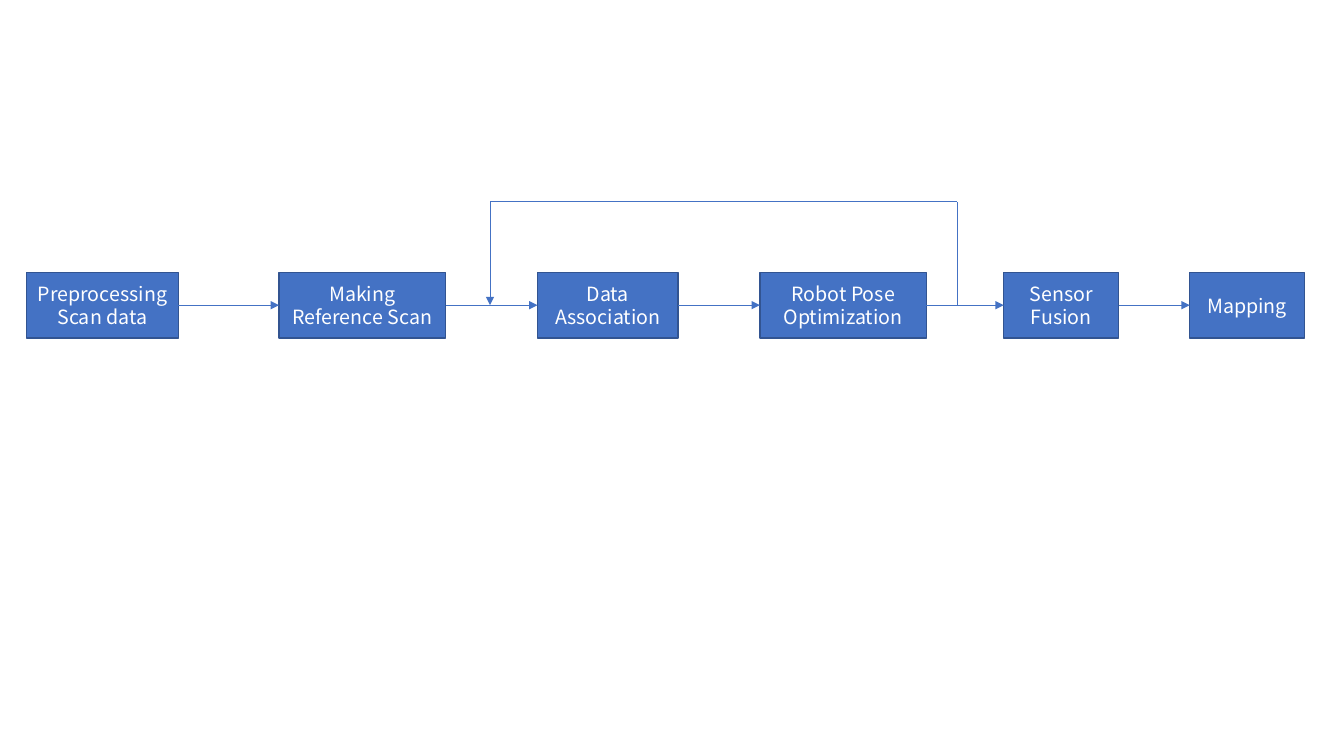
from dataclasses import dataclass
from itertools import pairwise

from lxml import etree
from pptx import Presentation
from pptx.dml.color import RGBColor
from pptx.enum.shapes import MSO_CONNECTOR, MSO_SHAPE
from pptx.enum.text import MSO_ANCHOR, PP_ALIGN
from pptx.oxml.ns import qn
from pptx.shapes.autoshape import Shape
from pptx.shapes.connector import Connector
from pptx.slide import Slide
from pptx.util import Pt

RECTANGLE = MSO_SHAPE.RECTANGLE
STRAIGHT = MSO_CONNECTOR.STRAIGHT
MIDDLE = MSO_ANCHOR.MIDDLE
CENTER = PP_ALIGN.CENTER
LEFT_SITE, RIGHT_SITE = 1, 3
BLANK_LAYOUT = 6


@dataclass(frozen=True)
class Theme:
    """Colours, font and line widths of the diagram."""
    fill: RGBColor = RGBColor(0x44, 0x72, 0xC4)
    border: RGBColor = RGBColor(0x32, 0x54, 0x91)
    text: RGBColor = RGBColor(0xFF, 0xFF, 0xFF)
    font: str = "Noto Sans CJK JP"
    text_size: float = 14
    border_width: float = 1
    flow_width: float = 0.5


@dataclass(frozen=True)
class Step:
    """One stage of the pipeline, with lengths in points."""
    lines: tuple[str, ...]
    left: float
    width: float


@dataclass(frozen=True)
class Segment:
    """One straight part of the feedback loop, in points."""
    start: tuple[float, float]
    end: tuple[float, float]
    arrow: bool = False


THEME = Theme()
STEP_TOP, STEP_HEIGHT = 194.6, 46.8
FLOW_Y = STEP_TOP + STEP_HEIGHT / 2
LOOP_TOP, LOOP_LEFT, LOOP_RIGHT = 144, 350, 683.5

STEPS = (
    Step(("Preprocessing", "Scan data"), 19, 108.4),
    Step(("Making", "Reference Scan"), 199.3, 119),
    Step(("Data", "Association"), 384, 100.4),
    Step(("Robot Pose", "Optimization"), 542.8, 119),
    Step(("Sensor", "Fusion"), 717, 82),
    Step(("Mapping",), 849.8, 82),
)
FEEDBACK = (
    Segment((LOOP_RIGHT, FLOW_Y), (LOOP_RIGHT, LOOP_TOP)),
    Segment((LOOP_RIGHT, LOOP_TOP), (LOOP_LEFT, LOOP_TOP)),
    Segment((LOOP_LEFT, LOOP_TOP), (LOOP_LEFT, FLOW_Y), arrow=True),
)


def draw_step(slide: Slide, step: Step) -> Shape:
    """Draw a pipeline stage with one centred paragraph per line."""
    box = slide.shapes.add_shape(
        RECTANGLE, Pt(step.left), Pt(STEP_TOP), Pt(step.width), Pt(STEP_HEIGHT))
    box.shadow.inherit = False
    box.fill.solid()
    box.fill.fore_color.rgb = THEME.fill
    box.line.color.rgb = THEME.border
    box.line.width = Pt(THEME.border_width)

    label = box.text_frame
    label.word_wrap = True
    label.vertical_anchor = MIDDLE
    label.margin_left = label.margin_right = Pt(4)
    for index, line in enumerate(step.lines):
        paragraph = label.add_paragraph() if index else label.paragraphs[0]
        paragraph.alignment = CENTER
        run = paragraph.add_run()
        run.text = line
        run.font.name = THEME.font
        run.font.size = Pt(THEME.text_size)
        run.font.color.rgb = THEME.text
    return box


def draw_segment(slide: Slide, segment: Segment) -> Connector:
    """Draw a thin flow line, ending in an arrowhead if asked."""
    flow = slide.shapes.add_connector(
        STRAIGHT, *(Pt(value) for value in segment.start + segment.end))
    flow.line.color.rgb = THEME.fill
    flow.line.width = Pt(THEME.flow_width)
    if segment.arrow:
        etree.SubElement(flow.line._get_or_add_ln(), qn("a:tailEnd"), type="triangle")
    etree.SubElement(flow._element.spPr, qn("a:effectLst"))
    return flow


def draw_pipeline(slide: Slide) -> None:
    """Draw the stages, the arrows between them and the feedback loop."""
    boxes = [draw_step(slide, step) for step in STEPS]
    for (source, target), (step, following) in zip(pairwise(boxes), pairwise(STEPS)):
        link = Segment((step.left + step.width, FLOW_Y), (following.left, FLOW_Y), arrow=True)
        flow = draw_segment(slide, link)
        flow.begin_connect(source, RIGHT_SITE)
        flow.end_connect(target, LEFT_SITE)
    for segment in FEEDBACK:
        draw_segment(slide, segment)


def main() -> None:
    """Build the slide and save it."""
    deck = Presentation()
    deck.slide_width, deck.slide_height = Pt(960), Pt(540)
    draw_pipeline(deck.slides.add_slide(deck.slide_layouts[BLANK_LAYOUT]))
    deck.save("out.pptx")


main()
